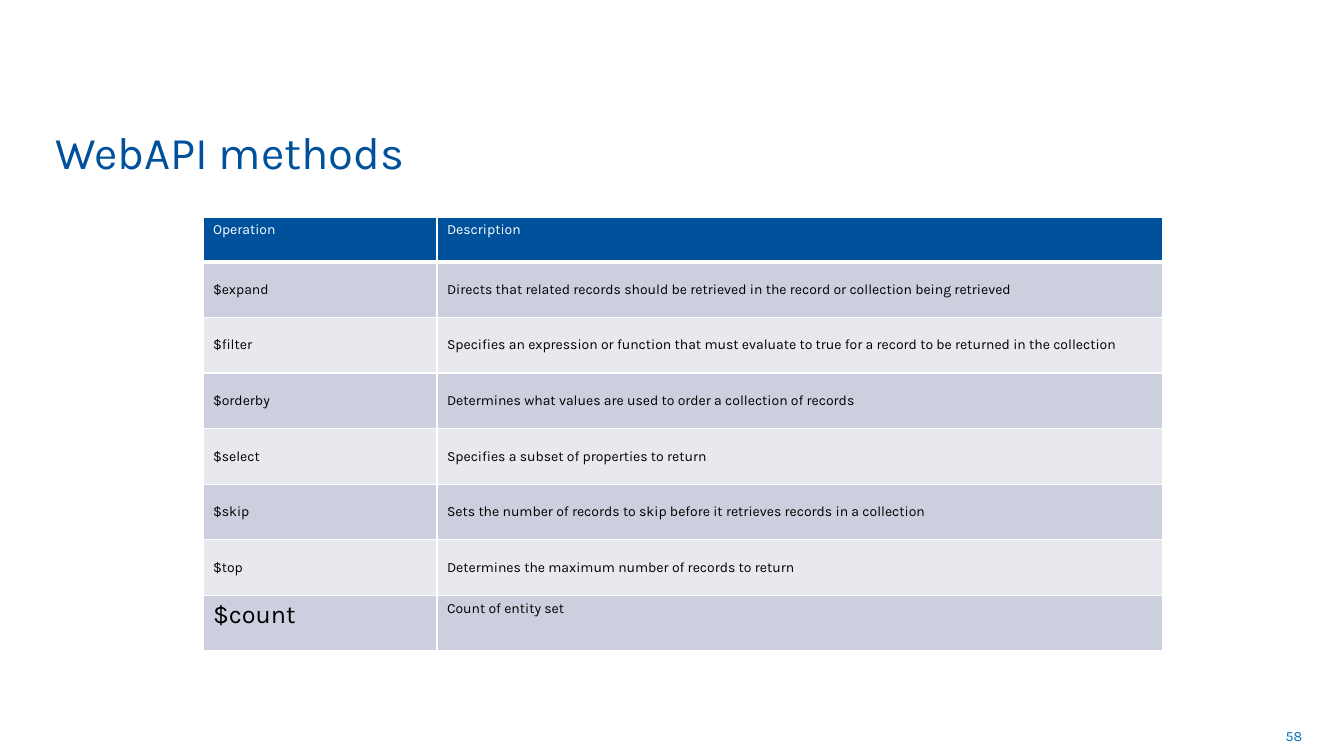
from lxml import etree
from pptx import Presentation, util as u
from pptx.dml.color import RGBColor
from pptx.enum import text
from pptx.oxml.ns import qn

TITLE = "WebAPI methods"
PAGE_NUMBER = "58"
HEADER = ("Operation", "Description")
METHODS = [
    ("$expand", "Directs that related records should be retrieved in the record or collection being retrieved"),
    ("$filter", "Specifies an expression or function that must evaluate to true for a record to be returned in the collection"),
    ("$orderby", "Determines what values are used to order a collection of records"),
    ("$select", "Specifies a subset of properties to return"),
    ("$skip", "Sets the number of records to skip before it retrieves records in a collection"),
    ("$top", "Determines the maximum number of records to return"),
    ("$count", "Count of entity set"),
]
COLORS = {"blue": "00519C", "number": "0070C0", "white": "FFFFFF", "black": "000000",
          "odd": "CCD0DE", "even": "E7E9EF"}
SIZES = {"$count": 18}
COLUMN_WIDTHS = (234, 726)
HEADER_HEIGHT, BODY_HEIGHT = 45, 389
TABLE_LEFT, TABLE_TOP = 203, 217
ANCHOR = text.MSO_ANCHOR


def px(value):
    return u.Emu(round(value * 914400 / 100.8))


def color(name):
    return RGBColor.from_string(COLORS[name])


def write(frame, content, size, color_name, **formats):
    paragraph = frame.paragraphs[0]
    run = paragraph.add_run()
    run.text = content
    run.font.color.rgb = color(color_name)
    for name, value in {"name": "Karla", "size": u.Pt(size), "bold": False}.items():
        setattr(run.font, name, value)
    for name, value in formats.items():
        setattr(paragraph, name, value)


def place(shape, left, top, width, height):
    for name, value in zip(("left", "top", "width", "height"), (left, top, width, height)):
        setattr(shape, name, px(value))


def add_borders(cell, bottom_width):
    properties = cell._tc.get_or_add_tcPr()
    widths = {"a:lnL": 1, "a:lnR": 1, "a:lnT": 1, "a:lnB": bottom_width}
    for index, (tag, width) in enumerate(widths.items()):
        line = etree.Element(qn(tag), w=str(u.Pt(width)))
        fill = etree.SubElement(line, qn("a:solidFill"))
        etree.SubElement(fill, qn("a:srgbClr"), val=COLORS["white"])
        properties.insert(index, line)


presentation = Presentation()
presentation.slide_width, presentation.slide_height = px(1344), px(756)
slide = presentation.slides.add_slide(presentation.slide_layouts[5])

title = slide.shapes.title
place(title, 45, 114, 1006, 70)
for name, value in {"vertical_anchor": ANCHOR.BOTTOM, "word_wrap": True,
                    "auto_size": text.MSO_AUTO_SIZE.NONE}.items():
    setattr(title.text_frame, name, value)
write(title.text_frame, TITLE, 32.4, "blue", alignment=text.PP_ALIGN.LEFT)

number = slide.shapes.add_textbox(px(999), px(716), px(313), px(40))
number.text_frame.word_wrap = True
number.text_frame.vertical_anchor = ANCHOR.MIDDLE
write(number.text_frame, PAGE_NUMBER, 10, "number", alignment=text.PP_ALIGN.RIGHT)

rows = [HEADER] + METHODS
table = slide.shapes.add_table(len(rows), len(HEADER), px(TABLE_LEFT), px(TABLE_TOP),
                               px(sum(COLUMN_WIDTHS)), px(HEADER_HEIGHT + BODY_HEIGHT)).table
for column, width in zip(table.columns, COLUMN_WIDTHS):
    column.width = px(width)
for row_index, row in enumerate(rows):
    is_header = row_index == 0
    is_middle = 0 < row_index < len(METHODS)
    table.rows[row_index].height = px(HEADER_HEIGHT if is_header else BODY_HEIGHT / len(METHODS))
    fill_name = "blue" if is_header else "odd" if row_index % 2 else "even"
    for column_index, content in enumerate(row):
        cell = table.cell(row_index, column_index)
        cell.fill.solid()
        cell.fill.fore_color.rgb = color(fill_name)
        cell.vertical_anchor = ANCHOR.MIDDLE if is_middle else ANCHOR.TOP
        write(cell.text_frame, content, SIZES.get(content, 10), "white" if is_header else "black")
        add_borders(cell, 3 if is_header else 1)

presentation.save("out.pptx")
